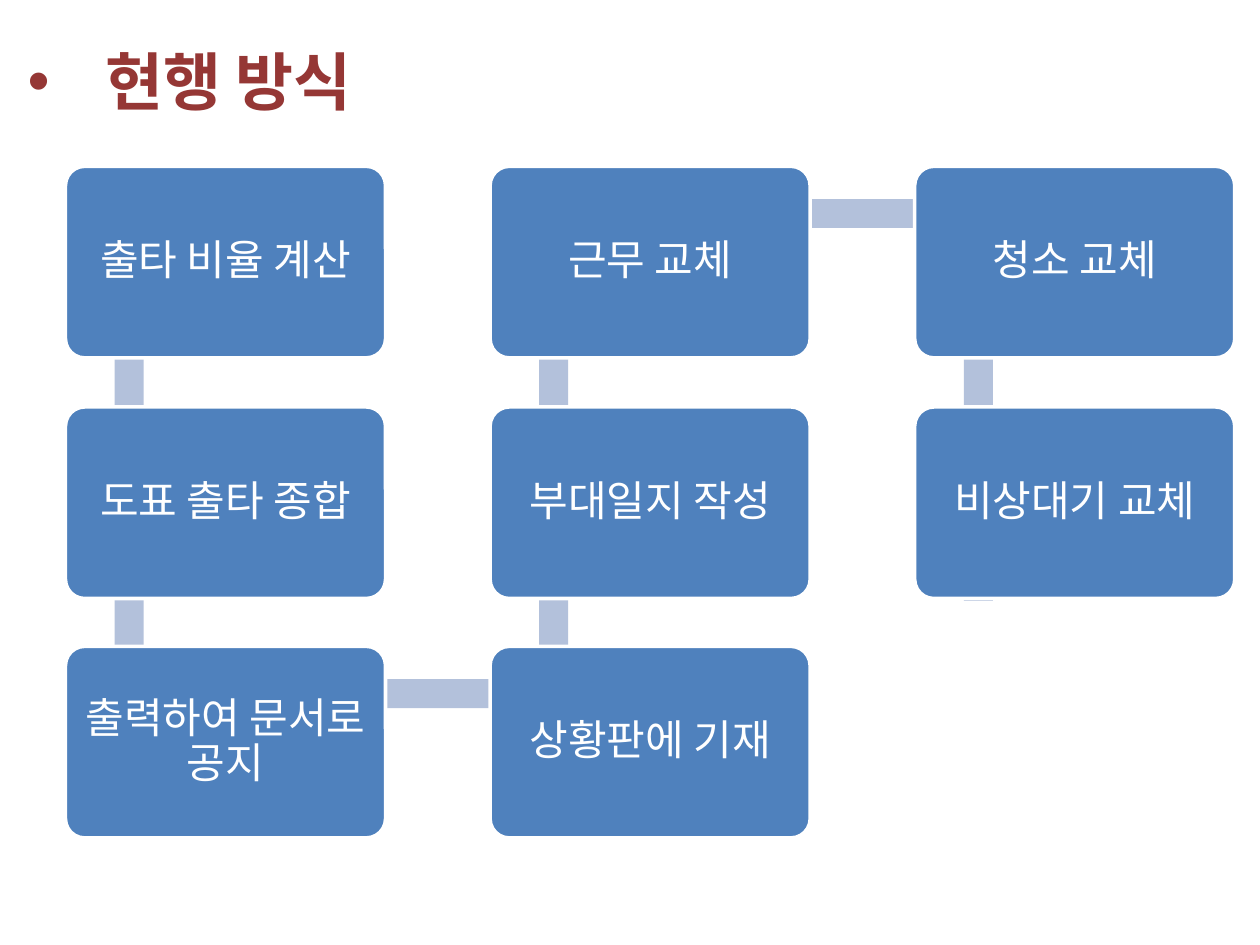
"""Build a slide with a snaking chain of eight steps."""
from itertools import pairwise

from lxml.etree import SubElement
from pptx import Presentation
from pptx.dml.color import RGBColor
from pptx.enum.shapes import MSO_SHAPE
from pptx.enum.text import MSO_ANCHOR, MSO_AUTO_SIZE, PP_ALIGN
from pptx.oxml.ns import qn
from pptx.util import Inches, Pt

BLUE = RGBColor(0x4F, 0x81, 0xBD)
PALE = RGBColor(0xB3, 0xC1, 0xDB)
RED = RGBColor(0x95, 0x37, 0x35)
WHITE = RGBColor(0xFF, 0xFF, 0xFF)
FONT = "Noto Sans CJK KR"
COLS = (0.52, 3.89, 7.26)
ROWS = (1.32, 3.23, 5.13)
STEPS = ("출타 비율 계산", "도표 출타 종합", "출력하여 문서로 공지", "상황판에 기재",
         "부대일지 작성", "근무 교체", "청소 교체", "비상대기 교체")


def write(frame, text, size=24, color=WHITE, bold=False, align=None):
    """Put one formatted line of text in a frame and return its paragraph."""
    frame.word_wrap = True
    line = frame.paragraphs[0]
    line.alignment = align
    run = line.add_run()
    run.text = text
    font = run.font
    font.name, font.size, font.bold = FONT, Pt(size), bold
    font.color.rgb = color
    SubElement(run.font._element, qn("a:ea"), typeface=FONT)
    return line


def add_block(slide, kind, left, top, width, height, color):
    """Add a plain filled shape."""
    block = slide.shapes.add_shape(
        kind, Inches(left), Inches(top), Inches(width), Inches(height))
    block.shadow.inherit = False
    block.fill.solid()
    block.fill.fore_color.rgb = color
    block.line.fill.background()
    return block


def add_link(slide, start, end):
    """Add the bar that leads from one grid cell to the next."""
    (col, row), (next_col, next_row) = start, end
    left, top = COLS[col], ROWS[min(row, next_row)]
    if col != next_col:
        add_block(slide, MSO_SHAPE.RECTANGLE, left + 0.51, top + 0.26,
                  3.36, 0.23, PALE)
        return
    bar = add_block(slide, MSO_SHAPE.RECTANGLE, left - 0.44, top + 1.21,
                    1.89, 0.23, PALE)
    bar.rotation = 90 if next_row > row else 270


def add_step(slide, text, cell):
    """Add one rounded step box with its label."""
    col, row = cell
    box = add_block(slide, MSO_SHAPE.ROUNDED_RECTANGLE, COLS[col], ROWS[row],
                    2.54, 1.52, BLUE)
    box.adjustments[0] = 0.1
    box.line.color.rgb = WHITE
    box.line.width = Pt(2)
    frame = box.text_frame
    frame.margin_left = frame.margin_right = Inches(0.1)
    frame.margin_top = frame.margin_bottom = Inches(0.1)
    frame.vertical_anchor = MSO_ANCHOR.MIDDLE
    line = write(frame, text, align=PP_ALIGN.CENTER)
    line.line_spacing = 0.9
    line.space_after = Pt(8.4)


def add_title(slide, text):
    """Add the bulleted heading."""
    box = slide.shapes.add_textbox(
        Inches(0.12), Inches(0.29), Inches(3.39), Inches(0.71))
    line = write(box.text_frame, text, size=36, color=RED, bold=True)
    box.text_frame.auto_size = MSO_AUTO_SIZE.SHAPE_TO_FIT_TEXT
    props = line._p.get_or_add_pPr()
    props.set("marL", str(Inches(0.62)))
    props.set("indent", str(Inches(-0.62)))
    SubElement(props, qn("a:buFont"), typeface="Arial")
    SubElement(props, qn("a:buChar"), char="•")


def main():
    """Build and save the slide."""
    deck = Presentation()
    deck.slide_width, deck.slide_height = Inches(10), Inches(7.5)
    slide = deck.slides.add_slide(deck.slide_layouts[6])
    cells = [(col, 2 - row if col % 2 else row)
             for col in range(3) for row in range(3)]
    for text, (cell, after) in zip(STEPS, pairwise(cells)):
        add_link(slide, cell, after)
        add_step(slide, text, cell)
    add_block(slide, MSO_SHAPE.RECTANGLE, 6.89, 4.77, 2.99, 2.52, WHITE)
    add_title(slide, "현행 방식")
    deck.save("out.pptx")


main()
